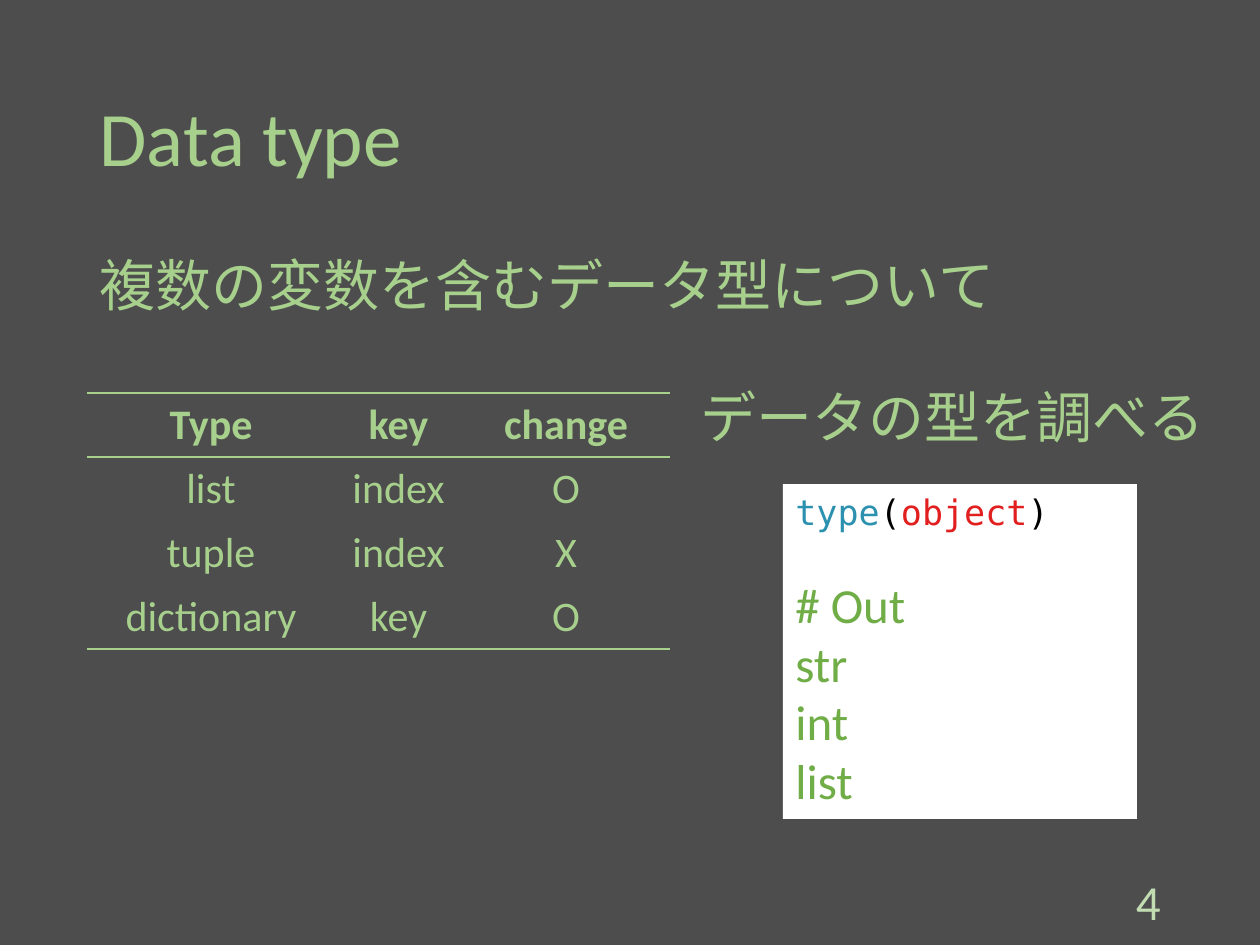
from dataclasses import dataclass

from lxml.etree import SubElement
from pptx import Presentation
from pptx.dml.color import RGBColor
from pptx.enum.shapes import MSO_SHAPE
from pptx.enum.text import MSO_ANCHOR, MSO_AUTO_SIZE, PP_ALIGN
from pptx.oxml.ns import qn
from pptx.util import Emu, Pt

COLORS = {
    "background": "4D4D4D",
    "text": "A8D08D",
    "number": "C3DDB3",
    "panel": "FFFFFF",
    "function": "2B91AF",
    "bracket": "000000",
    "argument": "E21F1F",
    "output": "70AD47",
}
BODY_FONT = "Calibri"
CODE_FONT = "DejaVu Sans Mono"
PLAIN_TABLE_STYLE = "{2D5ABB26-0587-4C30-8999-92F81FD0307C}"
EMU_PER_PX = 914400 / 126


@dataclass(frozen=True)
class Box:
    left: int
    top: int
    width: int
    height: int

    def emu(self) -> tuple:
        return px(self.left), px(self.top), px(self.width), px(self.height)


@dataclass(frozen=True)
class Caption:
    wording: str
    box: Box
    size: int = 32
    color: str = "text"
    align: PP_ALIGN = PP_ALIGN.LEFT
    anchor: MSO_ANCHOR = MSO_ANCHOR.TOP
    line_spacing: float = 0.9


CAPTIONS = [
    Caption("複数の変数を含むデータ型について", Box(87, 252, 1086, 99)),
    Caption("データの型を調べる", Box(688, 384, 546, 99)),
    Caption("4", Box(890, 876, 283, 50), size=28, color="number",
            align=PP_ALIGN.RIGHT, anchor=MSO_ANCHOR.MIDDLE, line_spacing=1.0),
]
TYPE_ROWS = [
    ("Type", "key", "change"),
    ("list", "index", "O"),
    ("tuple", "index", "X"),
    ("dictionary", "key", "O"),
]
COLUMN_WIDTHS = (248, 127, 208)
ROW_HEIGHT = 64
CODE_PARTS = [("type", "function"), ("(", "bracket"), ("object", "argument"), (")", "bracket")]
OUTPUT_LINES = ["# Out", "str", "int", "list"]


def px(length: int) -> Emu:
    return Emu(round(length * EMU_PER_PX))


def rgb(name: str) -> RGBColor:
    return RGBColor.from_string(COLORS[name])


def write(paragraph, wording: str, *, size: int, color: str = "text", font: str = BODY_FONT,
          bold: bool = False, align: PP_ALIGN = PP_ALIGN.LEFT, line_spacing: float = 1.0) -> None:
    paragraph.alignment = align
    paragraph.line_spacing = line_spacing
    run = paragraph.add_run()
    run.text = wording
    run.font.name = font
    run.font.size = Pt(size)
    run.font.bold = bold
    run.font.color.rgb = rgb(color)


def add_title(slide, wording: str, box: Box) -> None:
    title = slide.shapes.title
    title.left, title.top, title.width, title.height = box.emu()
    title.text_frame.auto_size = MSO_AUTO_SIZE.NONE
    title.text_frame.vertical_anchor = MSO_ANCHOR.MIDDLE
    write(title.text_frame.paragraphs[0], wording, size=44, line_spacing=0.9)


def add_caption(slide, caption: Caption) -> None:
    frame = slide.shapes.add_textbox(*caption.box.emu()).text_frame
    frame.word_wrap = True
    frame.vertical_anchor = caption.anchor
    write(frame.paragraphs[0], caption.wording, size=caption.size, color=caption.color,
          align=caption.align, line_spacing=caption.line_spacing)


def add_border(cell, side: str) -> None:
    border = SubElement(cell._tc.get_or_add_tcPr(), qn(f"a:{side}"), w=str(Pt(1)))
    fill = SubElement(border, qn("a:solidFill"))
    SubElement(fill, qn("a:srgbClr"), val=COLORS["text"])


def add_type_table(slide, left: int, top: int) -> None:
    box = Box(left, top, sum(COLUMN_WIDTHS), ROW_HEIGHT * len(TYPE_ROWS))
    table = slide.shapes.add_table(len(TYPE_ROWS), len(COLUMN_WIDTHS), *box.emu()).table
    table._tbl.tblPr.find(qn("a:tableStyleId")).text = PLAIN_TABLE_STYLE
    table.horz_banding = False
    for column, width in zip(table.columns, COLUMN_WIDTHS):
        column.width = px(width)
    for row_index, entries in enumerate(TYPE_ROWS):
        is_header = row_index == 0
        table.rows[row_index].height = px(ROW_HEIGHT)
        for column_index, entry in enumerate(entries):
            cell = table.cell(row_index, column_index)
            if is_header:
                add_border(cell, "lnT")
            if is_header or row_index == len(TYPE_ROWS) - 1:
                add_border(cell, "lnB")
            cell.fill.background()
            write(cell.text_frame.paragraphs[0], entry, size=24, bold=is_header,
                  align=PP_ALIGN.CENTER)


def add_code_panel(slide, box: Box) -> None:
    panel = slide.shapes.add_shape(MSO_SHAPE.RECTANGLE, *box.emu())
    panel.shadow.inherit = False
    panel.fill.solid()
    panel.fill.fore_color.rgb = rgb("panel")
    panel.line.fill.background()
    frame = panel.text_frame
    frame.word_wrap = True
    frame.vertical_anchor = MSO_ANCHOR.TOP
    for wording, color in CODE_PARTS:
        write(frame.paragraphs[0], wording, size=20, color=color, font=CODE_FONT)
    for line_index, wording in enumerate(OUTPUT_LINES):
        paragraph = frame.add_paragraph()
        paragraph.space_before = Pt(24 if line_index == 0 else 0)
        write(paragraph, wording, size=28, color="output")


def main() -> None:
    presentation = Presentation()
    presentation.slide_width = px(1260)
    presentation.slide_height = px(945)
    slide = presentation.slides.add_slide(presentation.slide_layouts[5])
    slide.background.fill.solid()
    slide.background.fill.fore_color.rgb = rgb("background")
    add_title(slide, "Data type", Box(87, 50, 1086, 183))
    add_type_table(slide, 87, 393)
    add_code_panel(slide, Box(783, 484, 354, 335))
    for caption in CAPTIONS:
        add_caption(slide, caption)
    presentation.save("out.pptx")


if __name__ == "__main__":
    main()
